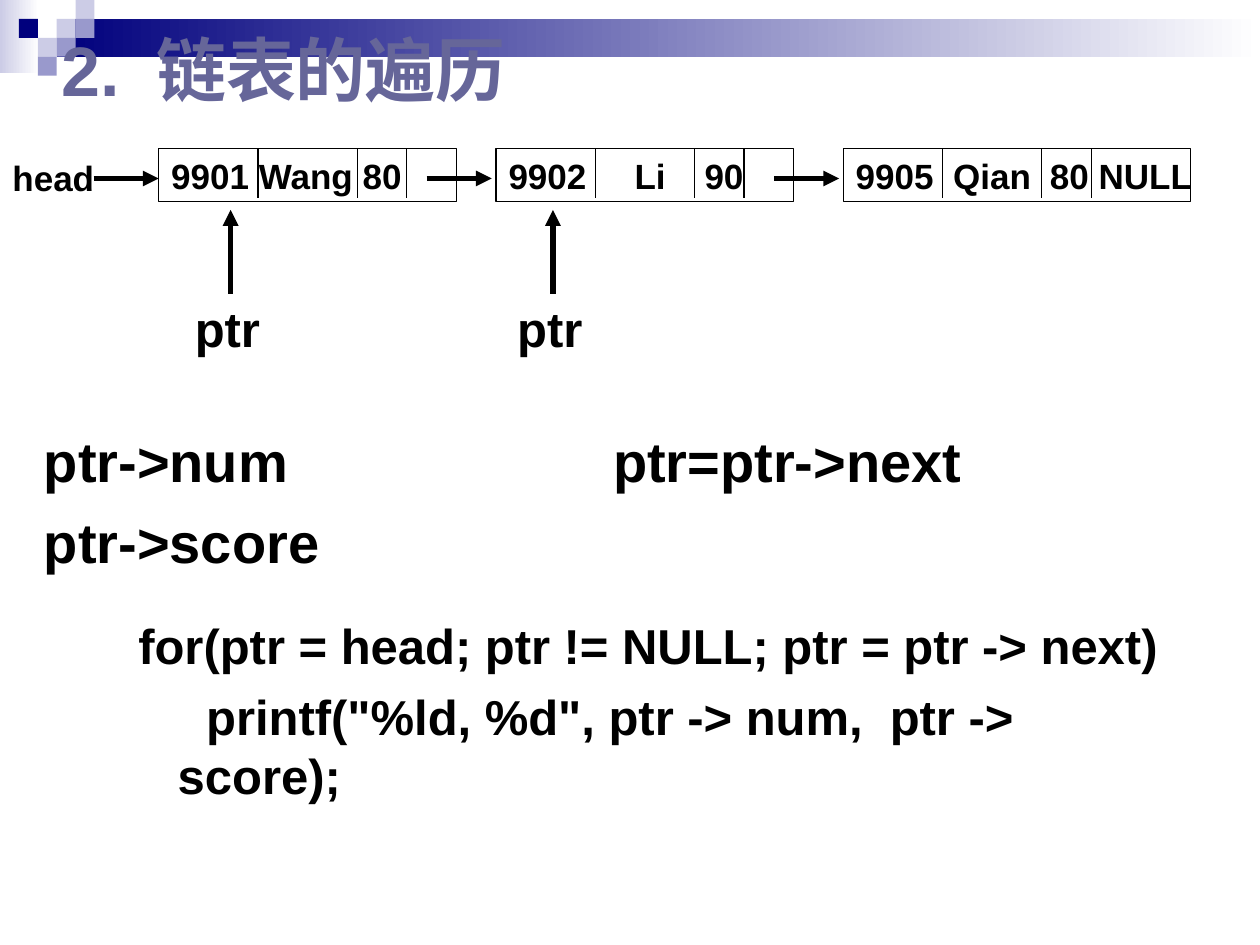
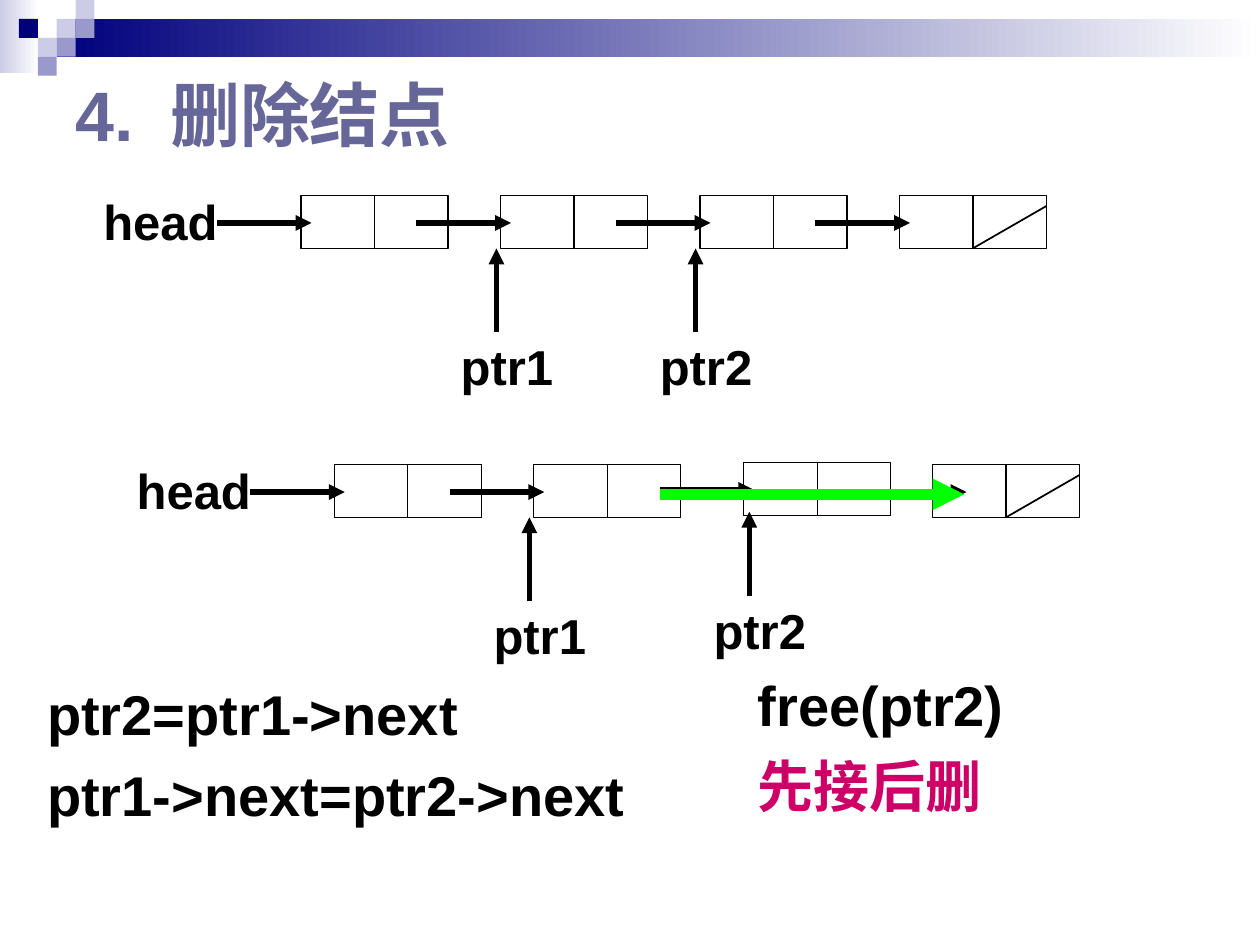
from dataclasses import dataclass

from lxml import etree
from pptx import Presentation
from pptx.dml.color import RGBColor
from pptx.enum.shapes import MSO_CONNECTOR, MSO_SHAPE
from pptx.enum.text import MSO_ANCHOR, MSO_AUTO_SIZE, PP_ALIGN
from pptx.oxml.ns import qn
from pptx.util import Pt

RECTANGLE = MSO_SHAPE.RECTANGLE
STRAIGHT = MSO_CONNECTOR.STRAIGHT
MIDDLE = MSO_ANCHOR.MIDDLE
NO_FIT, GROW = MSO_AUTO_SIZE.NONE, MSO_AUTO_SIZE.SHAPE_TO_FIT_TEXT
LEFT, CENTER = PP_ALIGN.LEFT, PP_ALIGN.CENTER


@dataclass(frozen=True)
class Theme:
    """Colours, font and type sizes shared by the slides."""
    font: str = "Arial"
    ink: str = "000000"
    title: str = "666699"
    warning: str = "CC0066"
    relink: str = "00FF00"
    navy: str = "00007D"
    lilac: str = "9999CC"
    pale: str = "CCCCE6"
    white: str = "FFFFFF"
    title_size: float = 40
    body_size: float = 32
    label_size: float = 28
    record_size: float = 20
    outline: float = 0.75
    slash: float = 1
    arrow: float = 3
    relink_arrow: float = 6


THEME = Theme()
TILE = 10.8
FIELD = 28.35
RECORD_TOP, LINK_Y = 85, 102
CELL_WIDTH, NODE_HEIGHT = 42, 30.2
LINK_DROP, LINK_LENGTH, LINK_REACH = 15.7, 54, 6
POINTER_LENGTH = 48


def rgb(value):
    """Turn a hex string into a colour."""
    return RGBColor.from_string(value)


def write(paragraph, text, size, color=THEME.ink):
    """Add one bold run to a paragraph."""
    run = paragraph.add_run()
    run.text = text
    run.font.name, run.font.size, run.font.bold = THEME.font, Pt(size), True
    run.font.color.rgb = rgb(color)


def set_tabs(paragraph, stops):
    """Give a paragraph left tab stops, in points."""
    tab_list = etree.SubElement(paragraph._p.get_or_add_pPr(), qn("a:tabLst"))
    for stop in stops:
        etree.SubElement(tab_list, qn("a:tab"), pos=str(Pt(stop)), algn="l")


def box(slide, left, top, width, height):
    """Draw an unfilled, thinly outlined rectangle."""
    shape = slide.shapes.add_shape(RECTANGLE, Pt(left), Pt(top), Pt(width), Pt(height))
    shape.shadow.inherit = False
    shape.fill.background()
    shape.line.color.rgb = rgb(THEME.ink)
    shape.line.width = Pt(THEME.outline)
    return shape


def patch(slide, left, top, width, height, color, fade=None):
    """Draw a borderless block, optionally fading to the right."""
    block = box(slide, left, top, width, height)
    block.line.fill.background()
    if fade is None:
        block.fill.solid()
        block.fill.fore_color.rgb = rgb(color)
        return
    block.fill.gradient()
    block.fill.gradient_angle = 0
    for stop, shade in zip(block.fill.gradient_stops, (color, fade)):
        stop.color.rgb = rgb(shade)


def line(slide, start, end, width=THEME.outline, color=THEME.ink, arrow=False):
    """Draw a straight line, optionally with an arrowhead at its end."""
    points = [Pt(value) for value in (*start, *end)]
    connector = slide.shapes.add_connector(STRAIGHT, *points)
    connector.line.color.rgb = rgb(color)
    connector.line.width = Pt(width)
    properties = connector._element.spPr
    if arrow:
        etree.SubElement(properties.find(qn("a:ln")), qn("a:tailEnd"), type="triangle")
    etree.SubElement(properties, qn("a:effectLst"))


def link(slide, start_x, end_x, y):
    """Draw a horizontal arrow from one node to the next."""
    line(slide, (start_x, y), (end_x, y), THEME.arrow, arrow=True)


def label(slide, text, left, top, width, size=THEME.label_size):
    """Add a one-line label that does not wrap."""
    caption = slide.shapes.add_textbox(Pt(left), Pt(top), Pt(width), Pt(size * 1.2 + 7.2))
    caption.text_frame.word_wrap = False
    caption.text_frame.auto_size = GROW
    write(caption.text_frame.paragraphs[0], text, size)


def statements(slide, area, lines, size=THEME.body_size, space=8, align=LEFT,
               margin=0, hanging=0):
    """Add a wrapped block of (text, colour) lines."""
    frame = slide.shapes.add_textbox(*map(Pt, area)).text_frame
    frame.word_wrap = True
    for index, (text, color) in enumerate(lines):
        paragraph = frame.add_paragraph() if index else frame.paragraphs[0]
        paragraph.alignment = align
        if index:
            paragraph.space_before = Pt(space)
        if margin:
            properties = paragraph._p.get_or_add_pPr()
            properties.set("marL", str(Pt(margin)))
            properties.set("indent", str(Pt(-hanging)))
        write(paragraph, text, size, color)


def pointer(slide, name, x, tip_y, width):
    """Draw an upward arrow with the pointer's name below it."""
    line(slide, (x, tip_y + POINTER_LENGTH), (x, tip_y), THEME.arrow, arrow=True)
    label(slide, name, x - 27.5, tip_y + POINTER_LENGTH - 1, width)


def record(slide, text, left, fields, tabs=()):
    """Draw a student record with number, name, score and link fields."""
    node = box(slide, left, RECORD_TOP, fields * FIELD, NODE_HEIGHT)
    frame = node.text_frame
    frame.word_wrap = False
    frame.vertical_anchor = MIDDLE
    paragraph = frame.paragraphs[0]
    paragraph.alignment = LEFT
    if tabs:
        set_tabs(paragraph, tabs)
    write(paragraph, text, THEME.record_size)
    for divider in (2, 4, 5):
        x = left + divider * FIELD
        line(slide, (x, RECORD_TOP), (x, RECORD_TOP + FIELD))


def chain(slide, nodes):
    """Draw a linked list from (left, top, link reach) nodes."""
    first_left, first_top, _ = nodes[0]
    label(slide, "head", first_left - 120, first_top - 6, 84)
    for left, top, reach in nodes:
        for cell in range(2):
            box(slide, left + cell * CELL_WIDTH, top, CELL_WIDTH, NODE_HEIGHT)
        tip = left + reach
        link(slide, tip - LINK_LENGTH, tip, top + LINK_DROP)
    last_left, last_top, _ = nodes[-1]
    line(slide, (last_left + CELL_WIDTH, last_top + NODE_HEIGHT),
         (last_left + 2 * CELL_WIDTH, last_top + 6), THEME.slash)


def titled_slide(deck, number, heading, area):
    """Add a slide with the corner pattern, the band and a title."""
    slide = deck.slides.add_slide(deck.slide_layouts[5])
    patch(slide, 0, 0, 22.3, 41.8, THEME.pale, THEME.white)
    patch(slide, 3 * TILE, TILE, 720 - 3 * TILE, 2 * TILE, THEME.navy, THEME.white)
    tiles = [(3, 1, THEME.pale), (4, 0, THEME.pale), (4, 1, THEME.lilac),
             (2, 2, THEME.pale), (1, 1, THEME.navy), (3, 2, THEME.lilac),
             (2, 3, THEME.lilac)]
    for column, row, color in tiles:
        patch(slide, column * TILE, row * TILE, TILE, TILE, color)
    title = slide.shapes.title
    title.left, title.top, title.width, title.height = map(Pt, area)
    frame = title.text_frame
    frame.auto_size = NO_FIT
    frame.vertical_anchor = MIDDLE
    paragraph = frame.paragraphs[0]
    paragraph.alignment = LEFT
    set_tabs(paragraph, [54])
    write(paragraph, f"{number}.\t{heading}", THEME.title_size, THEME.title)
    slide.shapes._spTree.append(title._element)
    return slide


def traversal_slide(deck):
    """Build the slide on walking through the list."""
    slide = titled_slide(deck, 2, "链表的遍历", (28, 0, 294, 78))
    label(slide, "head", 0, 85.7, 62, THEME.record_size)
    record(slide, "9901 Wang 80", 90.7, 6)
    record(slide, "9902\tLi\t90", 283.5, 6, (72, 112))
    record(slide, "9905\tQian\t80 NULL", 481.9, 7, (55.7, 111))
    for start_x in (53.5, 243.8, 442.3):
        link(slide, start_x, start_x + 37.2, LINK_Y)
    for x in (131.8, 316):
        pointer(slide, "ptr", x, 120, 53)
    statements(slide, (18, 240, 180, 96),
               [("ptr->num", THEME.ink), ("ptr->score", THEME.ink)])
    statements(slide, (282, 240, 336, 96), [("ptr=ptr->next", THEME.ink)], align=CENTER)
    statements(slide, (36, 348, 648, 96),
               [("for(ptr = head; ptr != NULL; ptr = ptr -> next)", THEME.ink),
                ('     printf("%ld, %d", ptr -> num,  ptr -> score);', THEME.ink)],
               THEME.label_size, 7, margin=58.5, hanging=22.5)


def deletion_slide(deck):
    """Build the slide on removing a node."""
    slide = titled_slide(deck, 4, "删除结点", (36, 36, 648, 58))
    chain(slide, [(172 + 114 * index, 111.7, LINK_REACH) for index in range(4)])
    chain(slide, [(191, 265.5, LINK_REACH), (305, 265.5, LINK_REACH),
                  (425, 264.3, LINK_REACH), (532.8, 265.5, 19.5)])
    line(slide, (376.9, 282.5), (551, 282.5), THEME.relink_arrow, THEME.relink, True)
    for name, x, tip_y in [("ptr1", 283.7, 142), ("ptr2", 397.5, 142),
                           ("ptr1", 302.5, 295.7), ("ptr2", 428.2, 292.5)]:
        pointer(slide, name, x, tip_y, 69)
    statements(slide, (19.8, 384.5, 387, 96),
               [("ptr2=ptr1->next", THEME.ink), ("ptr1->next=ptr2->next", THEME.ink)])
    statements(slide, (426, 379.5, 294, 90),
               [("free(ptr2)", THEME.ink), ("先接后删", THEME.warning)])


def main():
    """Build and save the deck."""
    deck = Presentation()
    deck.slide_width, deck.slide_height = Pt(720), Pt(540)
    traversal_slide(deck)
    deletion_slide(deck)
    deck.save("out.pptx")


if __name__ == "__main__":
    main()
